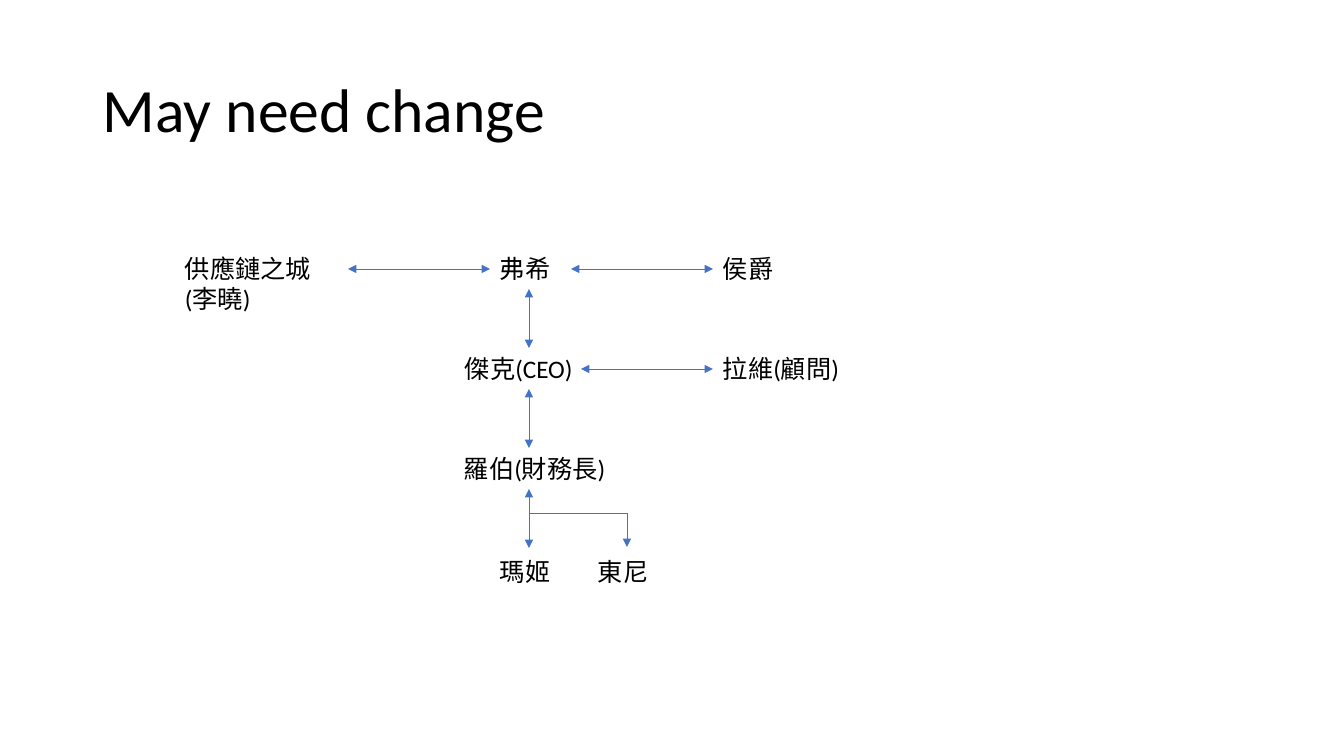
from lxml import etree
from pptx import Presentation
from pptx.dml.color import RGBColor
from pptx.enum import shapes, text
from pptx.oxml import ns
from pptx.util import Pt

PX = 914400 / 100.8
BLACK = RGBColor(0x00, 0x00, 0x00)
BLUE = RGBColor(0x44, 0x72, 0xC4)
FONT = "Calibri"


def emu(px):
    return round(px * PX)


def add_text(s, words, x, y, w, h, size, anchor=text.MSO_ANCHOR.TOP, spacing=None):
    tb = s.shapes.add_textbox(emu(x), emu(y), emu(w), emu(h))
    tf = tb.text_frame
    tf.word_wrap = True
    tf.vertical_anchor = anchor
    p = tf.paragraphs[0]
    p.line_spacing = spacing
    r = p.add_run()
    r.text = words
    r.font.name = FONT
    r.font.size = Pt(size)
    r.font.color.rgb = BLACK


def add_line(s, x1, y1, x2, y2, ends=("headEnd", "tailEnd")):
    c = s.shapes.add_connector(shapes.MSO_CONNECTOR.STRAIGHT,
                               emu(x1), emu(y1), emu(x2), emu(y2))
    c.line.color.rgb = BLUE
    c.line.width = Pt(0.5)
    ln = c.line._get_or_add_ln()
    for end in ends:
        etree.SubElement(ln, ns.qn("a:" + end), type="triangle")
    # Turn off the theme shadow
    etree.SubElement(c._element.spPr, ns.qn("a:effectLst"))


def title(s, x, y, w, h):
    add_text(s, "May need change", x, y, w, h, 44, text.MSO_ANCHOR.MIDDLE, 0.9)


def relations(s, x, y):
    pitch = 100
    name_w, name_h = 79, 40
    trunk, branch = x + 354, x + 452
    centre, right = x + 315, x + 538
    staff = y + 303

    # People: words, left, top, width, height
    people = [
        ("弗希", centre, y, name_w, name_h),
        ("侯爵", right, y, name_w, name_h),
        ("供應鏈之城(李曉)", x, y, 173, 72),
        ("傑克(CEO)", x + 280, y + pitch, 149, name_h),
        ("拉維(顧問)", right, y + pitch, 160, name_h),
        ("羅伯(財務長)", x + 279, y + 2 * pitch, 173, name_h),
        ("瑪姬", centre, staff, name_w, name_h),
        ("東尼", x + 413, staff, name_w, name_h),
    ]
    for person in people:
        add_text(s, *person, 18)

    # Links across each level
    for x1, x2, level in [(x + 173, centre, 0), (x + 396, right, 0),
                          (x + 406, right, 1)]:
        link_y = y + level * pitch + 21
        add_line(s, x1, link_y, x2, link_y)

    # Links down the trunk
    for level in range(3):
        top = y + level * pitch + 41
        add_line(s, trunk, top + 59, trunk, top)

    # Side branch to the second staff member
    fork = y + 265
    add_line(s, trunk, fork, branch, fork, ())
    add_line(s, branch, fork, branch, y + 299, ("tailEnd",))


prs = Presentation()
prs.slide_width, prs.slide_height = emu(1344), emu(756)
s = prs.slides.add_slide(prs.slide_layouts[6])
title(s, 93, 40, 1159, 146)
relations(s, 175, 248)
prs.save("out.pptx")
